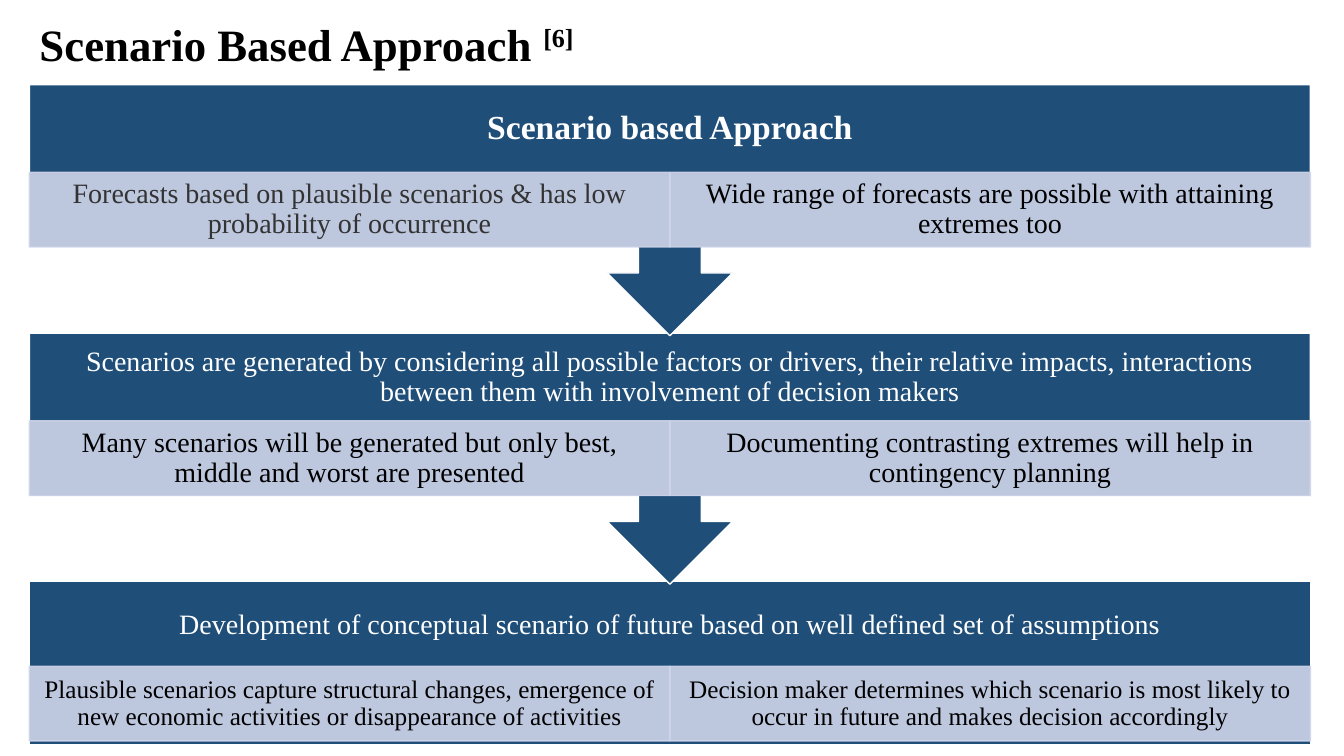
import pptx
import pptx.dml.color
import pptx.enum.shapes
import pptx.enum.text
import pptx.util
from lxml import etree

Pt = pptx.util.Pt
RGBColor = pptx.dml.color.RGBColor
SHAPE = pptx.enum.shapes.MSO_SHAPE
ALIGN = pptx.enum.text.PP_ALIGN
MIDDLE = pptx.enum.text.MSO_ANCHOR.MIDDLE

NAVY = RGBColor(0x1F, 0x4E, 0x79)
PALE = RGBColor(0xCF, 0xD5, 0xEA)
WHITE = RGBColor(0xFF, 0xFF, 0xFF)
BLACK = RGBColor(0x00, 0x00, 0x00)
GRAY = RGBColor(0x33, 0x33, 0x33)
FONT = "Times New Roman"

LEFT, WIDTH = 21, 915
FIRST_TOP, STEP = 60.5, 177.5
CALLOUT_HEIGHT, LAST_HEIGHT = 179.3, 116.6
HEADING_HEIGHT, HALF_HEIGHT = 62.7, 53.3


def write(box, text, size, color, side, edge, bold=False):
    frame = box.text_frame
    frame.word_wrap = True
    frame.vertical_anchor = MIDDLE
    frame.margin_left = frame.margin_right = Pt(side)
    frame.margin_top = frame.margin_bottom = Pt(edge)
    para = frame.paragraphs[0]
    para.text = text
    para.alignment = ALIGN.CENTER
    para.line_spacing = 0.9
    para.font.name = FONT
    para.font.size = Pt(size)
    para.font.bold = bold
    para.font.color.rgb = color


def add_block(kind, left, top, width, height, fill, line):
    block = slide.shapes.add_shape(kind, Pt(left), Pt(top), Pt(width), Pt(height))
    block.shadow.inherit = False
    block.fill.solid()
    block.fill.fore_color.rgb = fill
    block.line.color.rgb = line
    block.line.width = Pt(1)
    return block


deck = pptx.Presentation()
deck.slide_width, deck.slide_height = Pt(960), Pt(540)
slide = deck.slides.add_slide(deck.slide_layouts[5])

# Title with its raised reference number
title = slide.shapes.title
title.left, title.top, title.width, title.height = Pt(LEFT), Pt(8), Pt(402.5), Pt(46)
title.text_frame.word_wrap = False
title.text_frame.auto_size = pptx.enum.text.MSO_AUTO_SIZE.NONE
title.text_frame.vertical_anchor = MIDDLE
para = title.text_frame.paragraphs[0]
para.alignment = ALIGN.LEFT
para.font.name = FONT
para.font.size = Pt(32)
para.font.bold = True
para.font.color.rgb = BLACK
para.add_run().text = "Scenario Based Approach "
reference = para.add_run()
reference.text = "[6]"
reference.font._element.set("baseline", "30000")

# Stages: heading, size, bold, inset, half offset, half size, half inset, halves
stages = [
    ("Scenario based Approach", 24, True, 13.4, 62.7, 20, 11.2, [
        ("Forecasts based on plausible scenarios & has low probability of occurrence", GRAY),
        ("Wide range of forecasts are possible with attaining extremes too", BLACK)]),
    ("Scenarios are generated by considering all possible factors or drivers, their "
     "relative impacts, interactions between them with involvement of decision makers",
     20, False, 11.2, 62.7, 20, 11.2, [
        ("Many scenarios will be generated but only best, middle and worst are presented", BLACK),
        ("Documenting contrasting extremes will help in contingency planning", BLACK)]),
    ("Development of conceptual scenario of future based on well defined set of assumptions",
     20, False, 11.2, 60.5, 18, 10.1, [
        ("Plausible scenarios capture structural changes, emergence of new economic "
         "activities or disappearance of activities", BLACK),
        ("Decision maker determines which scenario is most likely to occur in future "
         "and makes decision accordingly", BLACK)]),
]

# The last stage lies at the back, so that each arrow tip overlaps the next stage
for index, stage in reversed(list(enumerate(stages))):
    heading, size, bold, inset, offset, half_size, half_inset, halves = stage
    top = FIRST_TOP + index * STEP

    # Dark panel: a plain rectangle at the end, a down-pointing callout before it
    if index == len(stages) - 1:
        add_block(SHAPE.RECTANGLE, LEFT, top, WIDTH, LAST_HEIGHT, NAVY, WHITE)
    else:
        panel = add_block(SHAPE.UP_ARROW_CALLOUT, LEFT, top, WIDTH, CALLOUT_HEIGHT, NAVY, WHITE)
        panel.rotation = 180
    box = slide.shapes.add_textbox(Pt(LEFT), Pt(top), Pt(WIDTH), Pt(HEADING_HEIGHT))
    write(box, heading, size, WHITE, inset, inset, bold)

    # Two pale, slightly transparent halves
    for column, (text, color) in enumerate(halves):
        half = add_block(SHAPE.RECTANGLE, LEFT + column * WIDTH / 2, top + offset,
                         WIDTH / 2, HALF_HEIGHT, PALE, PALE)
        for tint in half._element.spPr.iter(pptx.oxml.ns.qn("a:srgbClr")):
            etree.SubElement(tint, pptx.oxml.ns.qn("a:alpha"), val="90000")
        write(half, text, half_size, color, half_inset, 2.2)

deck.save("out.pptx")
